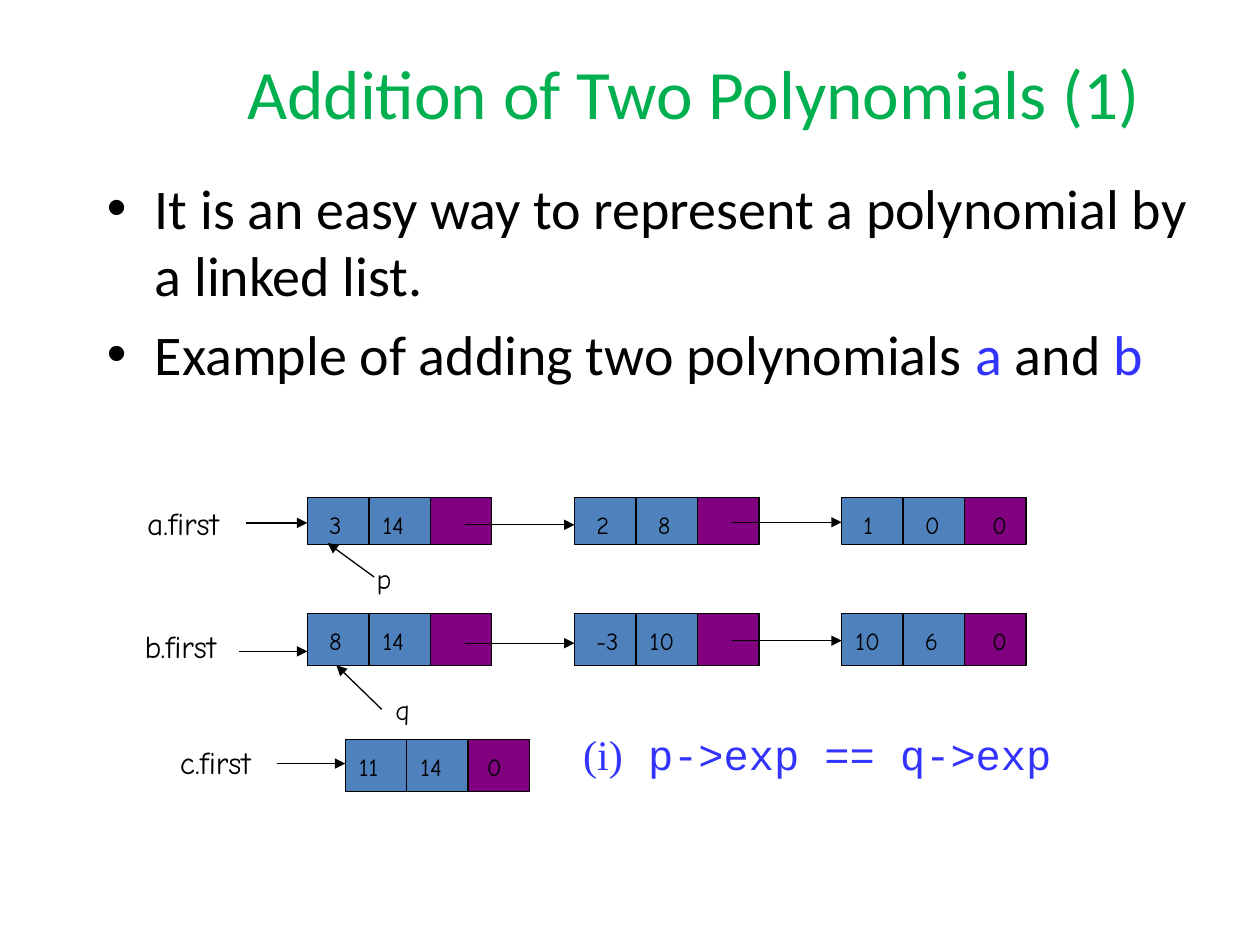
from lxml import etree
from pptx import Presentation
from pptx import util as u
from pptx.dml.color import RGBColor
from pptx.enum import shapes, text
from pptx.oxml.ns import qn

BLACK, GREEN, BLUE = "000000", "00B050", "3333FF"
DATA, LINK = "4F81BD", "800080"
HAND = "Comic Neue"

prs = Presentation()
prs.slide_width, prs.slide_height = u.Inches(10), u.Inches(7.5)
s = prs.slides.add_slide(prs.slide_layouts[6])

# Grid of 100 columns by 75 rows
G = prs.slide_width / 100
CELL = 4.88   # columns per cell of a node
PITCH = 21.2  # columns from one node to the next


def write(x, y, w, h, paragraphs, size, font=HAND):
    """Add a text box; each paragraph is a list of (text, colour) runs."""
    tb = s.shapes.add_textbox(*(round(v * G) for v in (x, y, w, h)))
    tf = tb.text_frame
    tf.word_wrap = True
    for i, runs in enumerate(paragraphs):
        p = tf.paragraphs[0] if i == 0 else tf.add_paragraph()
        for words, color in runs:
            r = p.add_run()
            r.text = words
            r.font.size, r.font.name = u.Pt(size), font
            r.font.color.rgb = RGBColor.from_string(color)
    return tf


def arrow(x1, y1, x2, y2):
    c = s.shapes.add_connector(shapes.MSO_CONNECTOR.STRAIGHT,
                               *(round(v * G) for v in (x1, y1, x2, y2)))
    c.line.width = u.Pt(0.75)
    c.line.color.rgb = RGBColor.from_string(BLACK)
    etree.SubElement(c.line._get_or_add_ln(), qn("a:tailEnd"), type="triangle")
    etree.SubElement(c._element.spPr, qn("a:effectLst"))


# Title
tf = write(15.8, 2.5, 78.5, 8.6,
           [[("Addition of Two Polynomials (1)", GREEN)]], 39.6, "Calibri")
tf.vertical_anchor = text.MSO_ANCHOR.BOTTOM
tf.paragraphs[0].alignment = text.PP_ALIGN.CENTER

# Bulleted body
tf = write(7.5, 13.3, 88.3, 22.5, [
    [("It is an easy way to represent a polynomial by a linked list.", BLACK)],
    [("Example of adding two polynomials ", BLACK), ("a", BLUE),
     (" and ", BLACK), ("b", BLUE)],
], 32, "Calibri")
tf.paragraphs[1].space_before = u.Pt(6.4)
for p in tf.paragraphs:
    pPr = p._p.get_or_add_pPr()
    pPr.set("marL", str(u.Inches(0.38)))
    pPr.set("indent", str(-u.Inches(0.38)))
    color = etree.SubElement(pPr, qn("a:buClr"))
    etree.SubElement(color, qn("a:srgbClr"), val=BLACK)
    etree.SubElement(pPr, qn("a:buFont"), typeface="Arial")
    etree.SubElement(pPr, qn("a:buChar"), char="•")

# Linked lists: label, its place, left, top, height, arrow start and row,
# inset of the null link, nodes of (coefficient, exponent, link)
lists = [
    ("a.first", 10.7, 39.5, 24.4, 39.5, 3.7, 19.5, 41.5, 1.2,
     [("3", "14", ""), ("2", "8", ""), ("1", "0", "0")]),
    ("b.first", 10.5, 49.3, 24.4, 48.7, 4.1, 19, 51.7, 1.2,
     [("8", "14", ""), ("-3", "10", ""), ("10", "6", "0")]),
    ("c.first", 13.3, 58.5, 27.4, 58.7, 4.1, 22, 60.6, 0.5,
     [("11", "14", "0")]),
]
for label, lx, ly, left, top, high, ax, ay, inset, nodes in lists:
    write(lx, ly, 11.2, 4, [[(label, BLACK)]], 18)
    arrow(ax, ay, left, ay)
    for n, node in enumerate(nodes):
        x = left + n * PITCH
        for k, value in enumerate(node):
            cx = x + k * CELL
            sp = s.shapes.add_shape(
                shapes.MSO_SHAPE.RECTANGLE,
                *(round(v * G) for v in (cx, top, CELL, high)))
            sp.shadow.inherit = False
            sp.fill.solid()
            sp.fill.fore_color.rgb = RGBColor.from_string(LINK if k == 2 else DATA)
            sp.line.color.rgb = RGBColor.from_string(BLACK)
            sp.line.width = u.Pt(0.75)
            if value:
                dx = inset if k == 2 else 0.1 if value.isdigit() and len(value) == 2 else 0.75
                write(cx + dx, top + 0.5, CELL, 3.3, [[(value, BLACK)]], 14)
    # Links between neighbouring nodes
    for n in range(len(nodes) - 1):
        x, y = left + n * PITCH, top + high / 2 + 0.3 - 0.2 * n
        arrow(x + 2.56 * CELL, y, x + PITCH, y)

# Pointers p and q
write(28.9, 44.1, 2.8, 3.7, [[("p", BLACK)]], 16)
write(30.4, 54.5, 2.8, 3.7, [[("q", BLACK)]], 16)
arrow(29.7, 45.8, 26, 43.1)
arrow(30.3, 56.3, 26.7, 52.8)

# Case being shown
tf = write(45.3, 57.3, 43.8, 5,
           [[("(i)", BLUE), (" p->exp == q->exp", BLUE)]], 24, "Courier New")
tf.paragraphs[0].runs[0].font.name = "Times New Roman"

prs.save("out.pptx")
